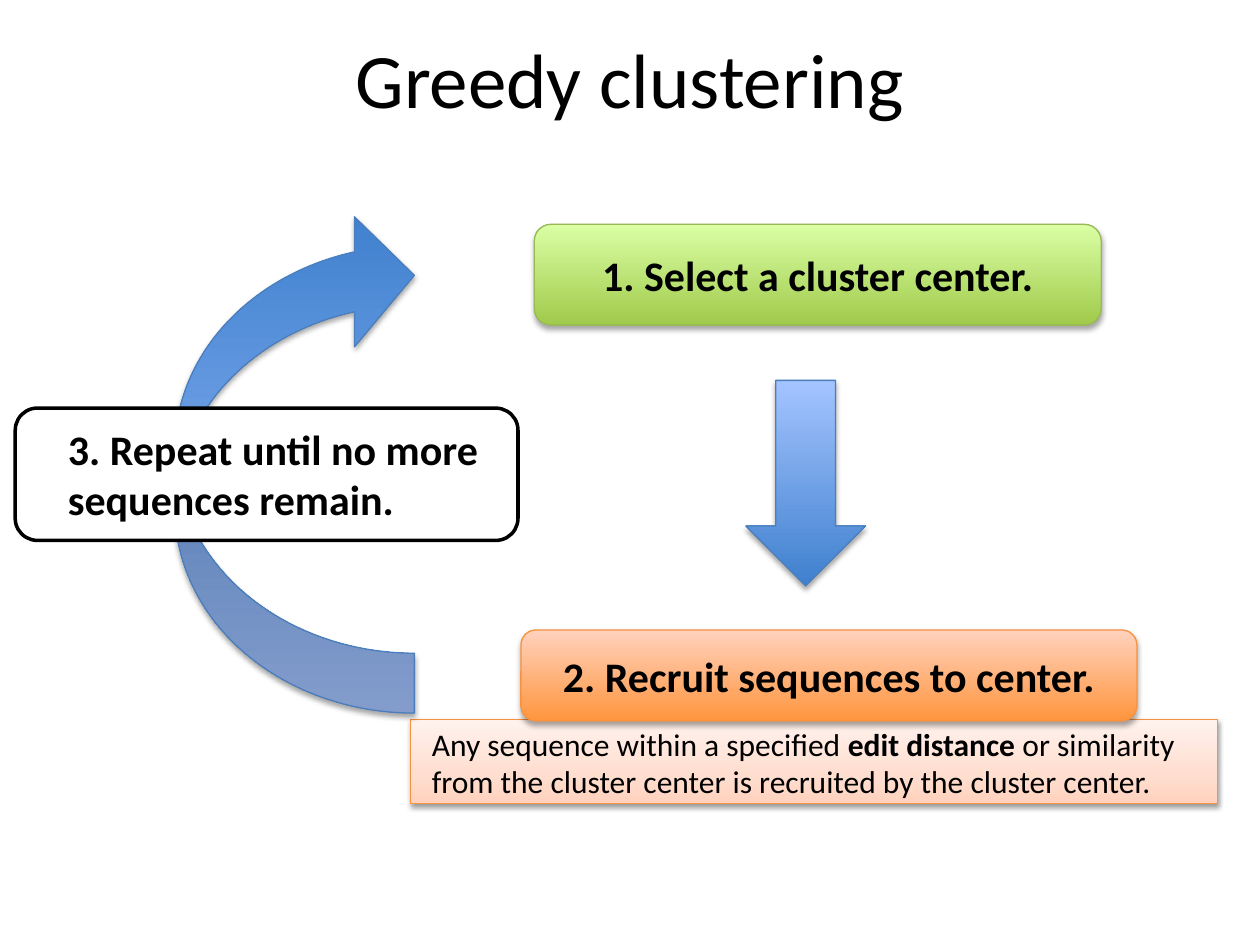
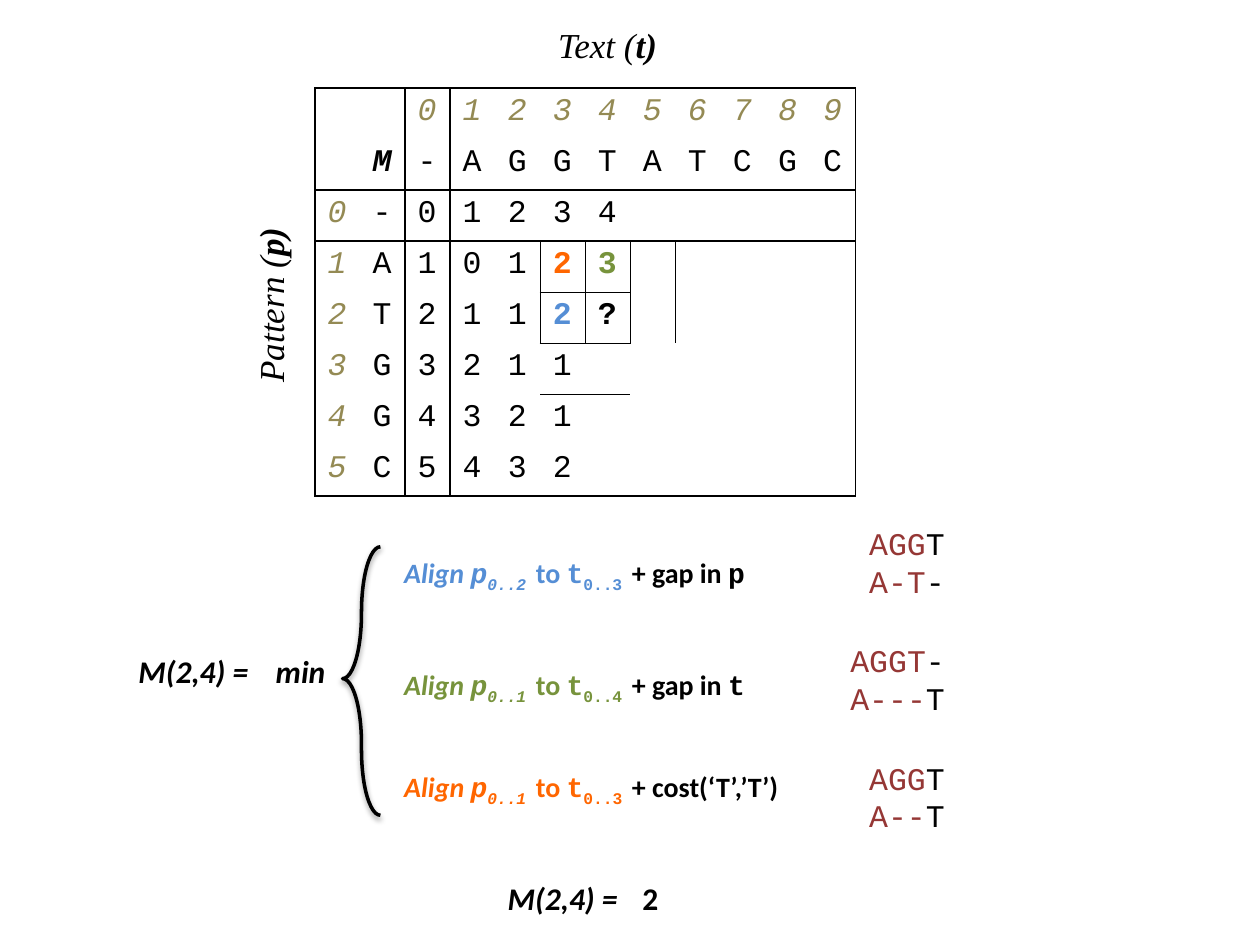
from collections import namedtuple
from dataclasses import dataclass

from lxml.etree import SubElement
from pptx import Presentation
from pptx.dml.color import RGBColor
from pptx.enum.shapes import MSO_SHAPE
from pptx.enum.text import MSO_ANCHOR, MSO_AUTO_SIZE, PP_ALIGN
from pptx.oxml.ns import qn
from pptx.util import Pt

Box = namedtuple("Box", "left top width height")


@dataclass(frozen=True)
class Theme:
    sans: str = "Calibri"
    mono: str = "Courier New"
    serif: str = "Times New Roman"
    black: str = "000000"
    white: str = "FFFFFF"
    olive: str = "948A54"
    maroon: str = "953735"
    orange: str = "FF6600"
    green: str = "77933C"
    blue: str = "558ED5"
    arrow_line: str = "4B7EBC"
    select_line: str = "98B955"
    recruit_line: str = "F69240"
    arrow_fill: tuple = ((0, "3F80CE"), (100, "A4C4FF"))
    select_fill: tuple = ((0, "A0CA4A"), (100, "DAFFA5"))
    recruit_fill: tuple = ((0, "FF953E"), (100, "FFD2BD"))
    note_fill: tuple = ((0, "FFD2BD"), (35, "FFDED0"), (100, "FFF2ED"))
    strong_shadow: tuple = (35, 1.8)
    soft_shadow: tuple = (38, 1.6)
    title: int = 44
    step: int = 24
    caption: int = 20
    body: int = 18
    case: int = 16
    thin: float = 0.75
    rule: float = 1
    thick: float = 2


THEME = Theme()
INDEX = {"name": THEME.mono, "italic": True, "color": THEME.olive}
CODE = {"name": THEME.mono}
STEP = {"size": THEME.step, "bold": True}
FORMULA = {"bold": True, "italic": True}
CAPTION = {"name": THEME.serif, "size": THEME.caption, "italic": True}


def inside(box, left, top, width, height):
    return Box(box.left + left, box.top + top, width, height)


def lengths(box):
    return [Pt(value) for value in box]


def add_span(para, text, style):
    values = {"name": THEME.sans, "size": THEME.body, "color": THEME.black, **style}
    color, baseline = values.pop("color"), values.pop("baseline", None)
    values["size"] = Pt(values["size"])
    span = para.add_run()
    span.text = text
    for key, value in values.items():
        setattr(span.font, key, value)
    span.font.color.rgb = RGBColor.from_string(color)
    if baseline:
        span.font._element.set("baseline", str(baseline * 1000))


def write(frame, lines, align=PP_ALIGN.LEFT):
    for number, spans in enumerate(lines):
        para = frame.add_paragraph() if number else frame.paragraphs[0]
        para.alignment = align
        for text, style in spans:
            add_span(para, text, style)


def add_text(page, box, lines, wrap=False):
    label = page.shapes.add_textbox(*lengths(box))
    label.text_frame.word_wrap = wrap
    label.text_frame.auto_size = MSO_AUTO_SIZE.SHAPE_TO_FIT_TEXT
    write(label.text_frame, lines)
    return label


def paint_gradient(shape, stops):
    shape.fill.gradient()
    shape.fill.gradient_angle = 90
    stop_list = shape._element.spPr.find(".//" + qn("a:gsLst"))
    for stop in list(stop_list):
        stop_list.remove(stop)
    for position, color in stops:
        stop = SubElement(stop_list, qn("a:gs"), pos=str(position * 1000))
        SubElement(stop, qn("a:srgbClr"), val=color)


def cast_shadow(shape, opacity, distance):
    effects = shape._element.spPr.find(qn("a:effectLst"))
    shadow = SubElement(effects, qn("a:outerShdw"), blurRad=str(Pt(3.1)),
                        dist=str(Pt(distance)), dir="5400000", rotWithShape="0")
    color = SubElement(shadow, qn("a:srgbClr"), val=THEME.black)
    SubElement(color, qn("a:alpha"), val=str(opacity * 1000))


def add_figure(page, kind, box, line, weight=THEME.thin, gradient=None,
               solid=None, shadow=None, adjust=()):
    shape = page.shapes.add_shape(kind, *lengths(box))
    shape.shadow.inherit = False
    if gradient:
        paint_gradient(shape, gradient)
    elif solid:
        shape.fill.solid()
        shape.fill.fore_color.rgb = RGBColor.from_string(solid)
    else:
        shape.fill.background()
    shape.line.color.rgb = RGBColor.from_string(line)
    shape.line.width = Pt(weight)
    for number, value in enumerate(adjust):
        shape.adjustments[number] = value
    if shadow:
        cast_shadow(shape, *shadow)
    return shape


def add_title(page, box, text):
    frame = page.shapes.add_textbox(*lengths(box)).text_frame
    frame.word_wrap = True
    frame.vertical_anchor = MSO_ANCHOR.MIDDLE
    write(frame, [[(text, {"size": THEME.title})]], PP_ALIGN.CENTER)


def add_step(page, box, text, gradient, line):
    shape = add_figure(page, MSO_SHAPE.ROUNDED_RECTANGLE, box, line,
                       gradient=gradient, shadow=THEME.strong_shadow)
    frame = shape.text_frame
    values = {"word_wrap": True, "vertical_anchor": MSO_ANCHOR.MIDDLE,
              "margin_left": Pt(12), "margin_right": Pt(12),
              "margin_top": Pt(6.5), "margin_bottom": Pt(6.5)}
    for key, value in values.items():
        setattr(frame, key, value)
    write(frame, [[(text, STEP)]], PP_ALIGN.CENTER)


def add_note(page, box):
    add_figure(page, MSO_SHAPE.RECTANGLE, box, THEME.recruit_line,
               gradient=THEME.note_fill, shadow=THEME.soft_shadow)
    add_text(page, inside(box, 5, -0.7, 456.5, 51), [[
        ("Any sequence within a specified ", {}),
        ("edit distance", {"bold": True}),
        (" or similarity from the cluster center is recruited by the cluster center.", {}),
    ]], wrap=True)


def add_cycle(page, box):
    arrow = {"line": THEME.arrow_line, "gradient": THEME.arrow_fill,
             "shadow": THEME.strong_shadow}
    add_note(page, inside(box, 226, 291, 461, 48.2))
    loop = add_figure(page, MSO_SHAPE.CURVED_RIGHT_ARROW, inside(box, 91.3, 0, 136.8, 287.3),
                      adjust=(0.25, 0.543, 0.25), **arrow)
    loop._element.spPr.xfrm.set("flipV", "1")
    add_figure(page, MSO_SHAPE.ROUNDED_RECTANGLE, inside(box, 0, 113, 287.3, 75.6),
               THEME.black, THEME.thick, solid=THEME.white)
    add_step(page, inside(box, 296.6, 8, 324, 57.6), "1. Select a cluster center.",
             THEME.select_fill, THEME.select_line)
    add_step(page, inside(box, 289, 239.8, 352, 52), "2. Recruit sequences to center.",
             THEME.recruit_fill, THEME.recruit_line)
    add_figure(page, MSO_SHAPE.DOWN_ARROW, inside(box, 417.5, 97.2, 68.4, 117.4), **arrow)
    add_text(page, inside(box, 23, 118, 303, 65.5), [
        [("3. Repeat until no more", STEP)], [("sequences remain.", STEP)]], wrap=True)


MATRIX = ["  0123456789", " M-AGGTATCGC", "0-01234", "1A10123",
          "2T2112?", "3G3211", "4G4321", "5C5432"]
COLUMNS = 12
MARKED = {(1, 1): {"italic": True}, (3, 5): {"color": THEME.orange},
          (3, 6): {"color": THEME.green}, (4, 5): {"color": THEME.blue}, (4, 6): {}}


def cell_style(row, column):
    if (row, column) in MARKED:
        return {**CODE, "bold": True, **MARKED[row, column]}
    return INDEX if row == 0 or column == 0 else CODE


def cell_edges(row, column):
    edges = {}
    if column == 0:
        edges["L"] = THEME.rule
    if column in (1, 2, COLUMNS - 1):
        edges["R"] = THEME.rule
    elif row in (3, 4) and 4 <= column <= 7:
        edges["R"] = THEME.thin
    if row == 0:
        edges["T"] = THEME.rule
    if row in (1, 2, len(MATRIX) - 1):
        edges["B"] = THEME.rule
    elif row in (3, 4, 5) and column in (5, 6):
        edges["B"] = THEME.thin
    return edges


def draw_edges(cell, edges):
    properties = cell._tc.get_or_add_tcPr()
    for side, weight in edges.items():
        line = SubElement(properties, qn("a:ln" + side), w=str(Pt(weight)))
        fill = SubElement(line, qn("a:solidFill"))
        SubElement(fill, qn("a:srgbClr"), val=THEME.black)


def add_matrix(page, box):
    table = page.shapes.add_table(len(MATRIX), COLUMNS, *lengths(box)).table
    table.first_row = table.horz_banding = False
    style = table._tbl.tblPr.find(qn("a:tableStyleId"))
    style.text = "{2D5ABB26-0587-4C30-8999-92F81FD0307C}"
    for column in table.columns:
        column.width = Pt(box.width / COLUMNS)
    for row, letters in enumerate(MATRIX):
        table.rows[row].height = Pt(box.height / len(MATRIX))
        for column, letter in enumerate(letters.ljust(COLUMNS)):
            cell = table.cell(row, column)
            cell.margin_bottom = Pt(2)
            draw_edges(cell, cell_edges(row, column))
            cell.fill.background()
            if letter != " ":
                write(cell.text_frame, [[(letter, cell_style(row, column))]])
    bold = {**CAPTION, "bold": True}
    add_text(page, inside(box, 131.8, -40.3, 87, 31.5), [[("Text (", CAPTION), ("t)", bold)]])
    pattern = add_text(page, inside(box, -84.2, 100.8, 117.4, 31.5),
                       [[("Pattern (", CAPTION), ("p)", bold)]])
    pattern.rotation = 270


def case_spans(color, pattern_range, text_range, cost):
    base = {"size": THEME.case, "bold": True}
    tinted = {**base, "color": color}
    slanted = {**tinted, "italic": True}
    lowered = {**CODE, "baseline": -25}
    return [("Align ", slanted), ("p", {**slanted, **CODE}),
            (pattern_range + " ", {**slanted, **lowered}),
            ("to ", tinted), ("t", {**tinted, **CODE}),
            (text_range + " ", {**tinted, **lowered}),
            *[(text, {**base, **style}) for text, style in cost]]


def add_recurrence(page, box):
    cases = [
        (16.6, 225.4, THEME.blue, "0..2", "0..3", [("+ gap in ", {}), ("p", CODE)],
         [("AGG", "T"), ("A-T", "-")]),
        (80.6, 218.2, THEME.green, "0..1", "0..4", [("+ gap in ", {}), ("t", CODE)],
         [("AGGT", "-"), ("A---", "T")]),
        (139, 238.3, THEME.orange, "0..1", "0..3", [("+ cost(‘T’,’T’)", {})],
         [("AGG", "T"), ("A--", "T")]),
    ]
    add_text(page, inside(box, 0, 73.4, 82.8, 28.8), [[("M(2,4) =", FORMULA)]])
    add_text(page, inside(box, 78.5, 73.4, 47.5, 28.8), [[("min", FORMULA)]])
    add_figure(page, MSO_SHAPE.LEFT_BRACE, inside(box, 123.8, 16.6, 21.6, 153.4),
               THEME.black, THEME.thick, shadow=THEME.soft_shadow, adjust=(1.727, 0.491))
    aligned = {**CODE, "color": THEME.maroon}
    for number, (top, width, color, pattern, text, cost, pair) in enumerate(cases):
        add_text(page, inside(box, 151.9, top + 1.4, width, 26.6),
                 [case_spans(color, pattern, text, cost)])
        pair_width = 14.4 + 10.8 * (len(pair[0][0]) + 1)
        add_text(page, inside(box, box.width - pair_width, 67 * number, pair_width, 51),
                 [[(done, aligned), (last, CODE)] for done, last in pair])


def add_result(page, box):
    add_text(page, inside(box, 0, 0, 82.8, box.height), [[("M(2,4) =", FORMULA)]])
    add_text(page, inside(box, 77, 0, 23.8, box.height), [[("2", {"bold": True})]])


def add_clustering_page(deck):
    page = deck.slides.add_slide(deck.slide_layouts[6])
    add_cycle(page, Box(8.7, 120.2, 687, 339))
    add_title(page, Box(36, -0.7, 648, 90), "Greedy clustering")


def add_alignment_page(deck):
    page = deck.slides.add_slide(deck.slide_layouts[6])
    add_matrix(page, Box(180, 50.4, 308.9, 233.3))
    add_recurrence(page, Box(72, 295.9, 475.2, 185))
    add_result(page, Box(283, 499, 100.8, 28.8))


def main():
    deck = Presentation()
    deck.slide_width, deck.slide_height = Pt(720), Pt(540)
    add_clustering_page(deck)
    add_alignment_page(deck)
    deck.save("out.pptx")


if __name__ == "__main__":
    main()
